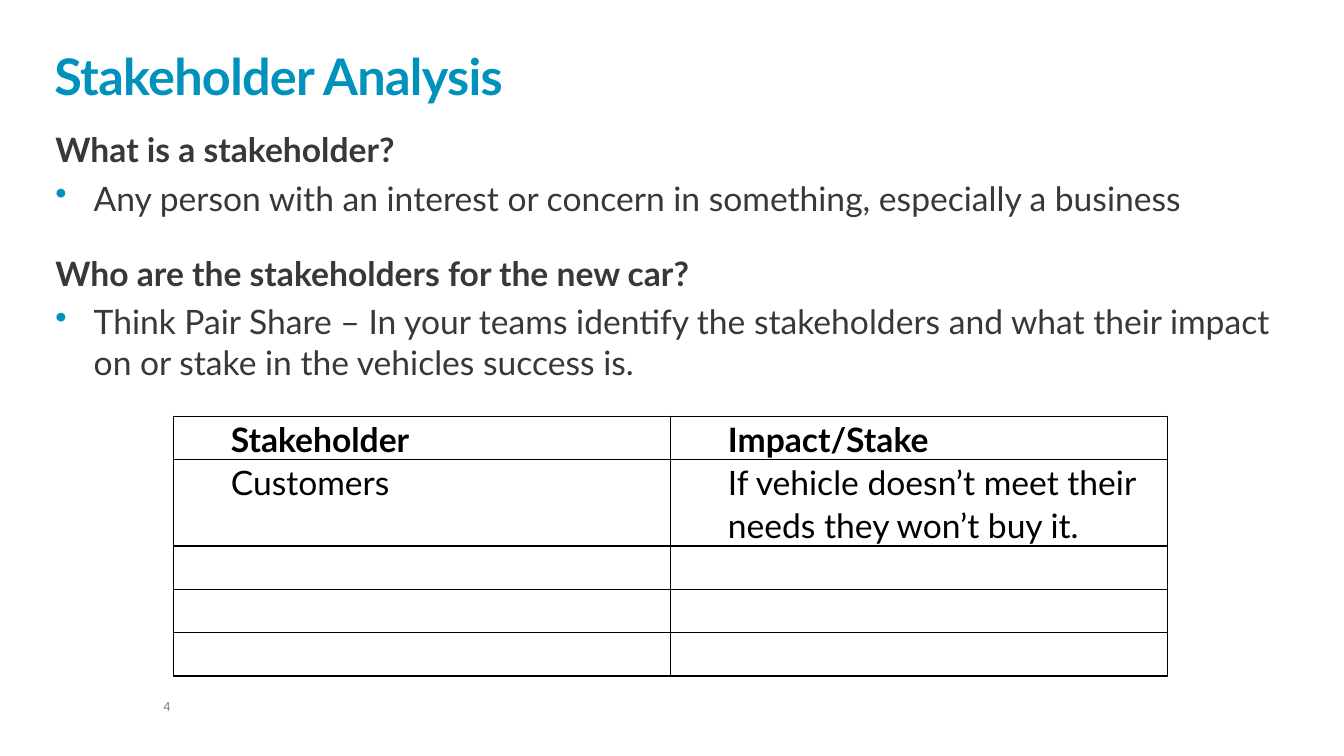
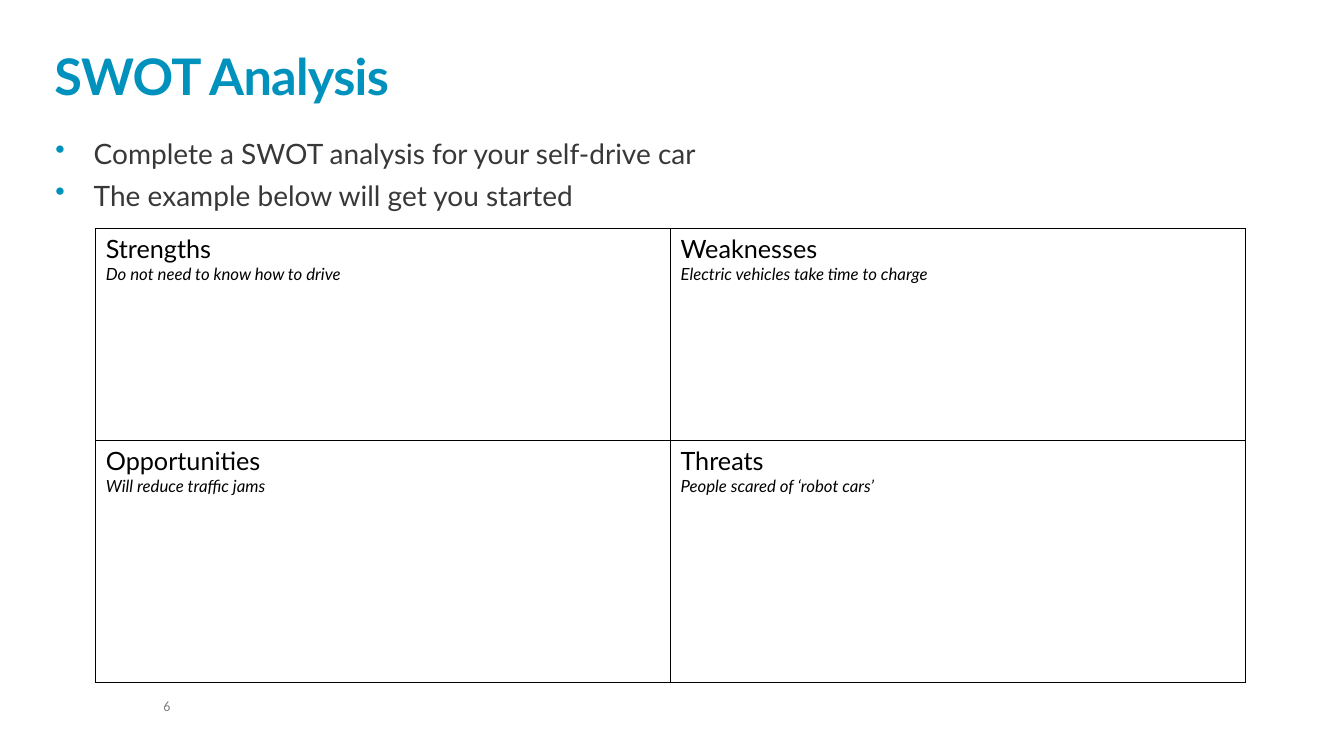
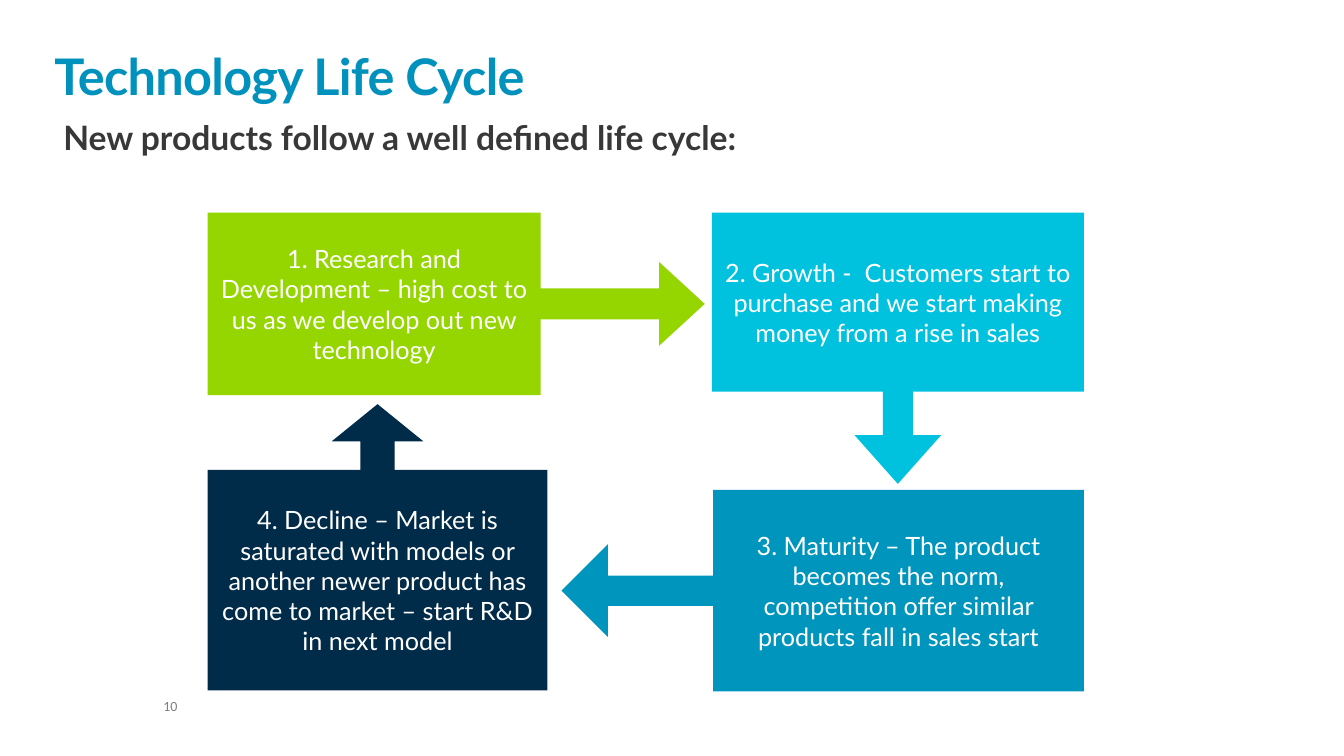
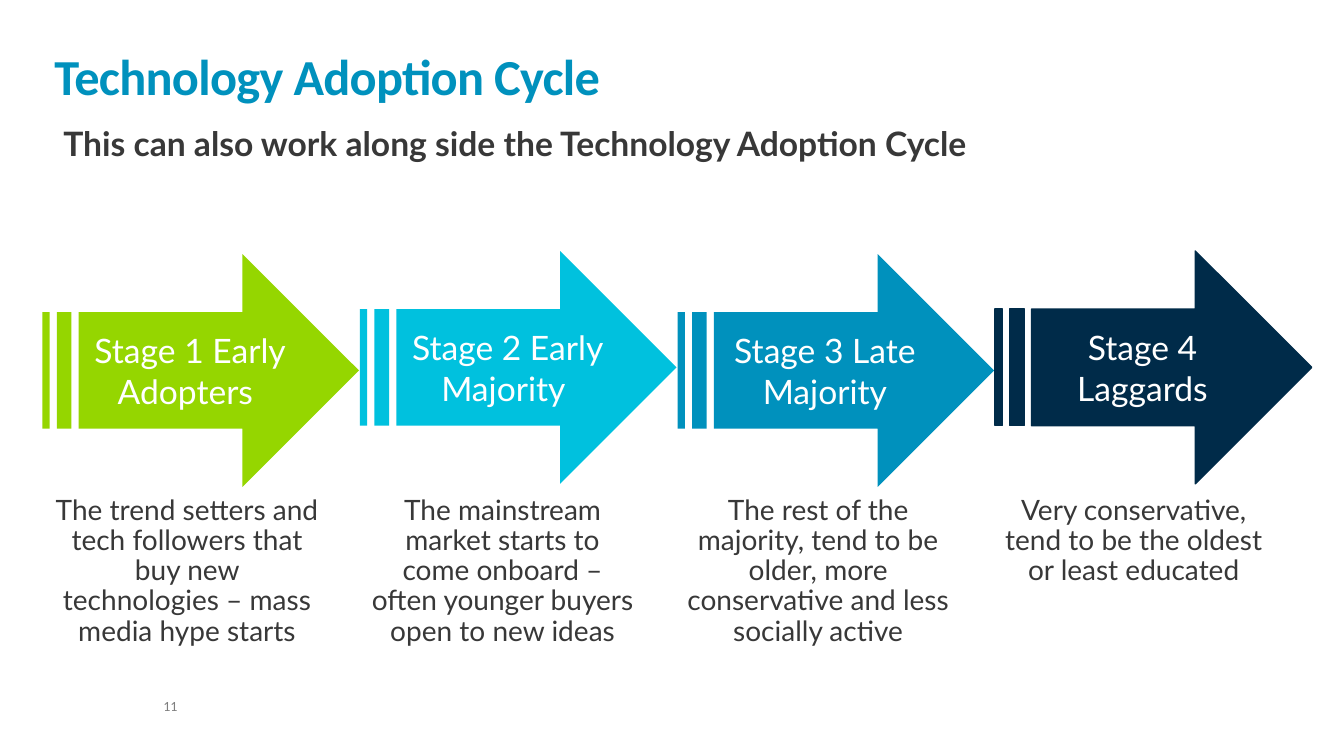
from pptx import Presentation
from pptx.dml.color import RGBColor
from pptx.enum.shapes import MSO_SHAPE
from pptx.enum.text import MSO_ANCHOR, PP_ALIGN
from pptx.oxml import parse_xml
from pptx.oxml.ns import nsdecls
from pptx.util import Pt

EMU_PER_PX = 9144
BLUE = RGBColor(0x00, 0x91, 0xBD)
MID_BLUE = RGBColor(0x00, 0x95, 0xBD)
CYAN = RGBColor(0x00, 0xC1, 0xDE)
GREEN = RGBColor(0x95, 0xD6, 0x00)
NAVY = RGBColor(0x00, 0x2B, 0x49)
TEXT = RGBColor(0x38, 0x38, 0x38)
GRAY = RGBColor(0x7F, 0x7F, 0x7F)
BLACK = RGBColor(0x00, 0x00, 0x00)
WHITE = RGBColor(0xFF, 0xFF, 0xFF)


def px(n):
    return n * EMU_PER_PX


class Deck:
    """Hold the shared style and the current slide, and draw each kind of element."""

    def __init__(self):
        self.prs = Presentation()
        self.prs.slide_width = px(1333)
        self.prs.slide_height = px(750)
        self.s = None

    def slide(self, title, number, title_font="Lato"):
        self.s = self.prs.slides.add_slide(self.prs.slide_layouts[6])
        tf = self.box(162, 694, 119, 15)
        self.para(tf, str(number), 10, GRAY, font="Calibri", spacing=0.9)
        tf = self.box(54, 32, 1223, 73, anchor=MSO_ANCHOR.BOTTOM)
        p = self.para(tf, title, 36, BLUE, bold=True, font=title_font, spacing=0.85)
        p._p.get_or_add_pPr().get_or_add_defRPr().set("spc", "-50")

    def box(self, x, y, w, h, inset=(0, 0), anchor=MSO_ANCHOR.TOP):
        tf = self.s.shapes.add_textbox(px(x), px(y), px(w), px(h)).text_frame
        tf.word_wrap = True
        tf.vertical_anchor = anchor
        tf.margin_left = tf.margin_right = px(inset[0])
        tf.margin_top = tf.margin_bottom = px(inset[1])
        return tf

    def para(self, tf, text, size, color, bold=False, italic=False, font="Lato",
             align=PP_ALIGN.LEFT, spacing=1.0, before=0):
        p = tf.add_paragraph() if tf.text else tf.paragraphs[0]
        p.add_run().text = text
        p.alignment = align
        p.line_spacing = spacing
        p.space_before = Pt(before)
        p.font.name = font
        p.font.size = Pt(size)
        p.font.bold = bold
        p.font.italic = italic
        p.font.color.rgb = color
        return p

    def indent(self, p, left, first=0):
        pPr = p._p.get_or_add_pPr()
        pPr.set("marL", str(px(left)))
        pPr.set("indent", str(px(first)))
        return pPr

    def bullet(self, tf, text, size):
        p = self.para(tf, text, size, TEXT, before=6)
        mark = self.indent(p, 38, -38).get_or_add_defRPr()
        mark.addprevious(parse_xml(
            f'<a:buClr {nsdecls("a")}><a:srgbClr val="{BLUE}"/></a:buClr>'))
        mark.addprevious(parse_xml(f'<a:buChar {nsdecls("a")} char="•"/>'))

    def subtitle(self, text, y, w):
        self.para(self.box(53, y, w, 50, inset=(10, 5)), text, 24, TEXT, bold=True)

    def caption(self, text, x, y, w, h):
        self.para(self.box(x, y, w, h), text, 20, TEXT, align=PP_ALIGN.CENTER, spacing=0.9)

    def shape(self, kind, text, size, at, fill, adjust=(), outlined=False):
        sp = self.s.shapes.add_shape(kind, *map(px, at))
        sp.shadow.inherit = False
        for i, value in enumerate(adjust):
            sp.adjustments[i] = value
        sp.fill.solid()
        sp.fill.fore_color.rgb = fill
        if outlined:
            sp.line.color.rgb = fill
            sp.line.width = Pt(1)
        else:
            sp.line.fill.background()
        tf = sp.text_frame
        tf.word_wrap = True
        tf.vertical_anchor = MSO_ANCHOR.MIDDLE
        self.para(tf, text, size, WHITE, align=PP_ALIGN.CENTER)

    def table(self, x, y, col_width, heights, inset):
        frame = self.s.shapes.add_table(
            len(heights), 2, px(x), px(y), px(2 * col_width), px(sum(heights)))
        table = frame.table
        table.first_row = table.horz_banding = False
        for col in table.columns:
            col.width = px(col_width)
        for row, height in zip(table.rows, heights):
            row.height = px(height)
        for cell in table.iter_cells():
            cell.margin_left = cell.margin_right = px(inset[0])
            cell.margin_top = cell.margin_bottom = px(inset[1])
            cell.fill.background()
            self.border(cell)
        return table

    def border(self, cell):
        tcPr = cell._tc.get_or_add_tcPr()
        for i, side in enumerate("LRTB"):
            tcPr.insert(i, parse_xml(
                f'<a:ln{side} {nsdecls("a")} w="12700"><a:solidFill>'
                f'<a:srgbClr val="{BLACK}"/></a:solidFill></a:ln{side}>'))


def stakeholders(deck):
    deck.slide("Stakeholder Analysis", 4)
    tf = deck.box(55, 128, 1223, 196)
    deck.para(tf, "What is a stakeholder?", 24, TEXT, bold=True)
    deck.bullet(tf, "Any person with an interest or concern in something, especially a business", 24)
    deck.para(tf, "Who are the stakeholders for the new car?", 24, TEXT, bold=True, before=24.6)
    deck.bullet(tf, "Think Pair Share – In your teams identify the stakeholders and what "
                    "their impact on or stake in the vehicles success is.", 24)
    table = deck.table(172, 413, 493, [43, 85, 43, 43, 43], (7, 0))
    rows = [("Stakeholder", "Impact/Stake"),
            ("Customers", "If vehicle doesn’t meet their needs they won’t buy it.")]
    for i, row in enumerate(rows):
        for j, text in enumerate(row):
            p = deck.para(table.cell(i, j).text_frame, text, 24, BLACK, bold=i == 0, spacing=1.07)
            deck.indent(p, 50)


def swot(deck):
    deck.slide("SWOT Analysis", 6)
    tf = deck.box(55, 135, 1223, 80)
    deck.bullet(tf, "Complete a SWOT analysis for your self-drive car", 20)
    deck.bullet(tf, "The example below will get you started", 20)
    tf.paragraphs[0].space_before = Pt(0)
    table = deck.table(95, 227, 570, [210, 240], (10, 5))
    quadrants = [("Strengths", "Do not need to know how to drive"),
                 ("Weaknesses", "Electric vehicles take time to charge"),
                 ("Opportunities", "Will reduce traffic jams"),
                 ("Threats", "People scared of ‘robot cars’")]
    for cell, (heading, example) in zip(table.iter_cells(), quadrants):
        deck.para(cell.text_frame, heading, 18, BLACK)
        deck.para(cell.text_frame, example, 12, BLACK, italic=True)


def life_cycle(deck):
    deck.slide("Technology Life Cycle", 10)
    phases = [
        (MSO_SHAPE.RIGHT_ARROW_CALLOUT, (206, 211, 493, 181), GREEN, (0.17, 0.23, 0.25, 0.67),
         "1. Research and Development – high cost to us as we develop out new technology"),
        (MSO_SHAPE.DOWN_ARROW_CALLOUT, (706, 211, 369, 269), CYAN, (0.11, 0.16, 0.18, 0.66),
         "2. Growth -  Customers start to purchase and we start making money from a rise in sales"),
        (MSO_SHAPE.LEFT_ARROW_CALLOUT, (557, 486, 518, 200), MID_BLUE, (0.15, 0.23, 0.23, 0.71),
         "3. Maturity – The product becomes the norm, competition offer similar products "
         "fall in sales start"),
        (MSO_SHAPE.UP_ARROW_CALLOUT, (206, 401, 337, 284), NAVY, (0.12, 0.16, 0.13, 0.77),
         "4. Decline – Market is saturated with models or another newer product has come "
         "to market – start R&D in next model"),
    ]
    for kind, at, fill, adjust, text in phases:
        deck.shape(kind, text, 18, at, fill, adjust)
    deck.subtitle("New products follow a well defined life cycle:", 111, 694)


def adoption_cycle(deck):
    deck.slide("Technology Adoption Cycle", 11, title_font="Calibri")
    deck.subtitle("This can also work along side the Technology Adoption Cycle", 117, 962)
    stages = [
        ("Stage 1 Early Adopters ", GREEN,
         "The trend setters and tech followers that buy new technologies – mass media hype starts"),
        ("Stage 2 Early Majority ", CYAN,
         "The mainstream market starts to come onboard – often younger buyers open to new ideas"),
        ("Stage 3 Late Majority", BLUE,
         "The rest of the majority, tend to be older, more conservative and less socially active"),
        ("Stage 4 Laggards", NAVY,
         "Very conservative, tend to be the oldest or least educated"),
    ]
    for i, (name, fill, people) in enumerate(stages):
        at = (42 + 315 * i, 252 - 3 * (i % 2), 314, 231)
        deck.shape(MSO_SHAPE.STRIPED_RIGHT_ARROW, name, 24, at, fill, outlined=fill == NAVY)
        deck.caption(people, 54 + 313 * i, 492, 263, 151)


def main():
    deck = Deck()
    for build in (stakeholders, swot, life_cycle, adoption_cycle):
        build(deck)
    deck.prs.save("out.pptx")


if __name__ == "__main__":
    main()
